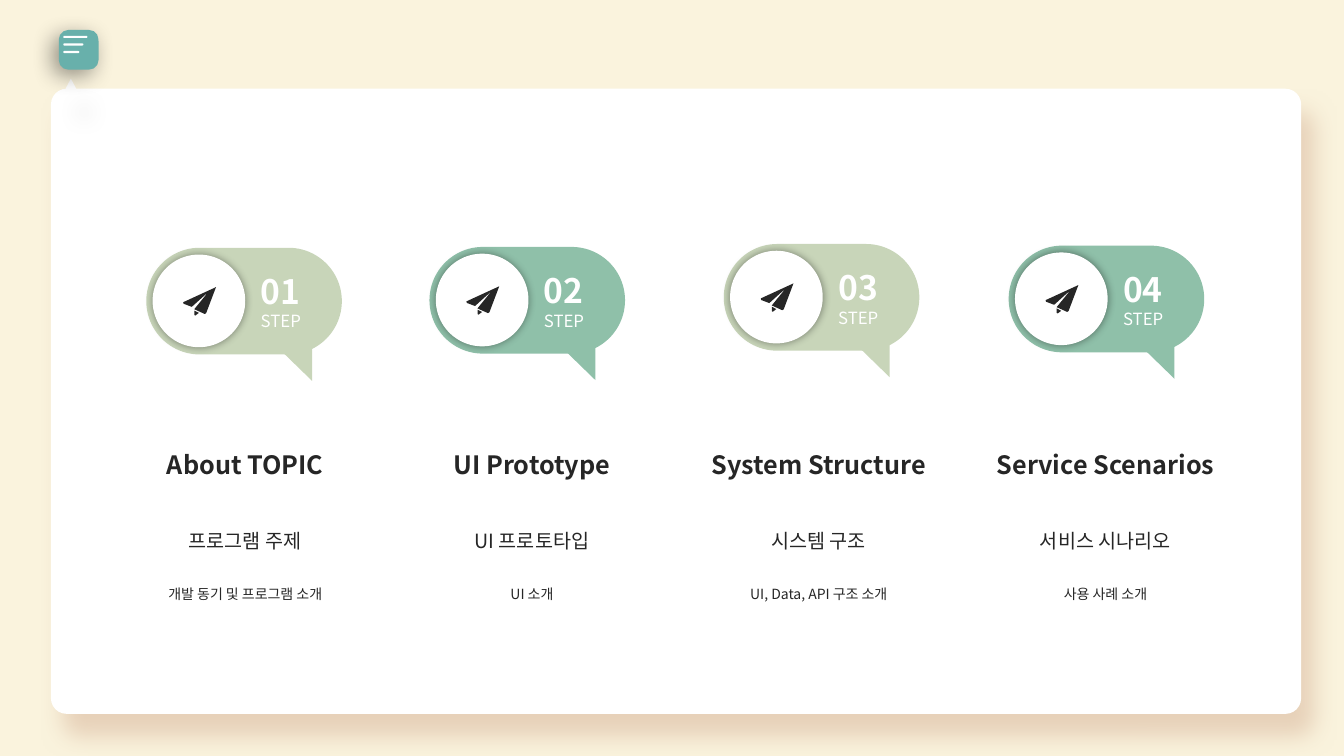
from lxml.etree import SubElement as Sub
from pptx import Presentation
from pptx.dml.color import RGBColor as Rgb
from pptx.enum.shapes import MSO_SHAPE as Kind
from pptx.enum.text import MSO_ANCHOR as Anchor, PP_ALIGN as Align
from pptx.oxml.ns import qn
from pptx.util import Pt


class Theme:
    font = "Noto Sans CJK KR"
    back, white, ink = "FAF3DD", "FFFFFF", "262626"
    teal, sage, mint = "68B0AB", "C8D5B9", "8FC0A9"
    glow, black = "E1C6AD", "000000"
    step, label = 24, 12
    title, sub, note = 18, 14, 10


STEPS = [
    ("01", 104.5, 177, Theme.sage),
    ("02", 306.8, 176.4, Theme.mint),
    ("03", 517, 174.3, Theme.sage),
    ("04", 720.5, 175.5, Theme.mint),
]
TOPICS = [
    ("About TOPIC", "프로그램 주제", "개발 동기 및 프로그램 소개"),
    ("UI Prototype", "UI 프로토타입", "UI 소개"),
    ("System Structure", "시스템 구조", "UI, Data, API 구조 소개"),
    ("Service Scenarios", "서비스 시나리오", "사용 사례 소개"),
]
WING = [(49.8, 28.1), (42.8, 46.7), (41.8, 47.3), (34.3, 43.9),
        (44.3, 31.6), (32.5, 42.2), (26.7, 40), (26.4, 38.9)]
FOLD = [(34.3, 44.8), (37.5, 46.5), (35, 48.4), (34.3, 48)]


def paint(shape, color):
    shape.shadow.inherit = False
    shape.fill.solid()
    shape.fill.fore_color.rgb = Rgb.from_string(color)
    shape.line.fill.background()


def draw(slide, kind, box, color, round=None):
    shape = slide.shapes.add_shape(kind, *map(Pt, box))
    paint(shape, color)
    if round is not None:
        shape.adjustments[0] = round
    return shape


def shade(shape, color, alpha, blur, dist, angle):
    effects = shape._element.spPr.find(qn("a:effectLst"))
    outer = Sub(effects, qn("a:outerShdw"), blurRad=str(Pt(blur)),
                dist=str(Pt(dist)), dir=str(angle * 60000),
                algn="ctr", rotWithShape="0")
    tint = Sub(outer, qn("a:srgbClr"), val=color)
    Sub(tint, qn("a:alpha"), val=str(alpha * 1000))


def trace(slide, left, top, points, color):
    spots = [(Pt(left + x), Pt(top + y)) for x, y in points]
    pen = slide.shapes.build_freeform(*spots[0])
    pen.add_line_segments(spots[1:], close=True)
    paint(pen.convert_to_shape(), color)


def write(frame, lines, color, align):
    for i, (text, size, bold, gap) in enumerate(lines):
        para = frame.paragraphs[0] if i == 0 else frame.add_paragraph()
        para.text = text
        para.alignment = align
        para.space_before = Pt(gap)
        font = para.font
        font.name, font.size, font.bold = Theme.font, Pt(size), bold
        font.color.rgb = Rgb.from_string(color)
        Sub(font._element, qn("a:ea"), typeface=Theme.font)


def panel(slide, left, top, width, height):
    sheet = draw(slide, Kind.ROUNDED_RECTANGLE, (left, top, width, height),
                 Theme.white, 0.025)
    shade(sheet, Theme.glow, 75, 16, 19, 60)
    notch = draw(slide, Kind.ISOSCELES_TRIANGLE,
                 (left + 8.5, top - 7.2, 11.5, 10.8), Theme.white)
    shade(notch, Theme.black, 11, 16, 19, 60)


def menu(slide, left, top, side):
    tile = draw(slide, Kind.ROUNDED_RECTANGLE, (left, top, side, side),
                Theme.teal, 0.242)
    shade(tile, Theme.black, 40, 16, 6, 135)
    for i, width in enumerate((17.3, 14.4, 11.5)):
        draw(slide, Kind.ROUNDED_RECTANGLE,
             (left + 3.2, top + 4.2 + 5.4 * i, width, 1.5), Theme.white, 0.5)


def topics(slide, left, top, width, height):
    frame = slide.shapes.add_table(1, len(TOPICS), *map(Pt, (left, top, width, height)))
    table = frame.table
    table.first_row = table.horz_banding = False
    for cell, (title, sub, note) in zip(table.iter_cells(), TOPICS):
        cell.fill.background()
        cell.margin_top = Pt(198)
        cell.vertical_anchor = Anchor.TOP
        write(cell.text_frame,
              [(title, Theme.title, True, 0), (sub, Theme.sub, False, 31),
               (note, Theme.note, False, 21)], Theme.ink, Align.CENTER)
        props = cell._tc.get_or_add_tcPr()
        for i, (side, size) in enumerate((("L", 1), ("R", 1), ("T", 1), ("B", 3))):
            edge = props.makeelement(qn("a:ln" + side), {"w": str(Pt(size))})
            props.insert(i, edge)
            Sub(Sub(edge, qn("a:solidFill")), qn("a:srgbClr"), val=Theme.white)


def badge(slide, left, top, width, height, step, color):
    pill = draw(slide, Kind.ROUNDED_RECTANGLE, (left, top, width, height), color, 0.5)
    frame = pill.text_frame
    frame.word_wrap = True
    frame.margin_left = Pt(70.6)
    frame.vertical_anchor = Anchor.MIDDLE
    write(frame, [(step, Theme.step, True, 0), ("STEP", Theme.label, False, 0)],
          Theme.white, Align.LEFT)
    tail = draw(slide, Kind.RIGHT_TRIANGLE, (left + 92.9, top + 69.5, 25.2, 25.9), color)
    tail.rotation = 270
    tail._element.spPr.find(qn("a:xfrm")).set("flipH", "1")
    disc = draw(slide, Kind.OVAL, (left + 4.5, top + 4.8, 66.2, 66.2), Theme.white)
    shade(disc, Theme.black, 40, 6, 0, 0)
    for points in (FOLD, WING):
        trace(slide, left, top, points, Theme.ink)


def main():
    deck = Presentation()
    deck.slide_width, deck.slide_height = Pt(960), Pt(540)
    slide = deck.slides.add_slide(deck.slide_layouts[6])
    slide.background.fill.solid()
    slide.background.fill.fore_color.rgb = Rgb.from_string(Theme.back)
    panel(slide, 36.4, 63.4, 893, 446.5)
    menu(slide, 42, 21.4, 28.4)
    topics(slide, 72.7, 120.2, 819.4, 340)
    for step, left, top, color in STEPS:
        badge(slide, left, top, 139.7, 76.2, step, color)
    deck.save("out.pptx")


if __name__ == "__main__":
    main()
